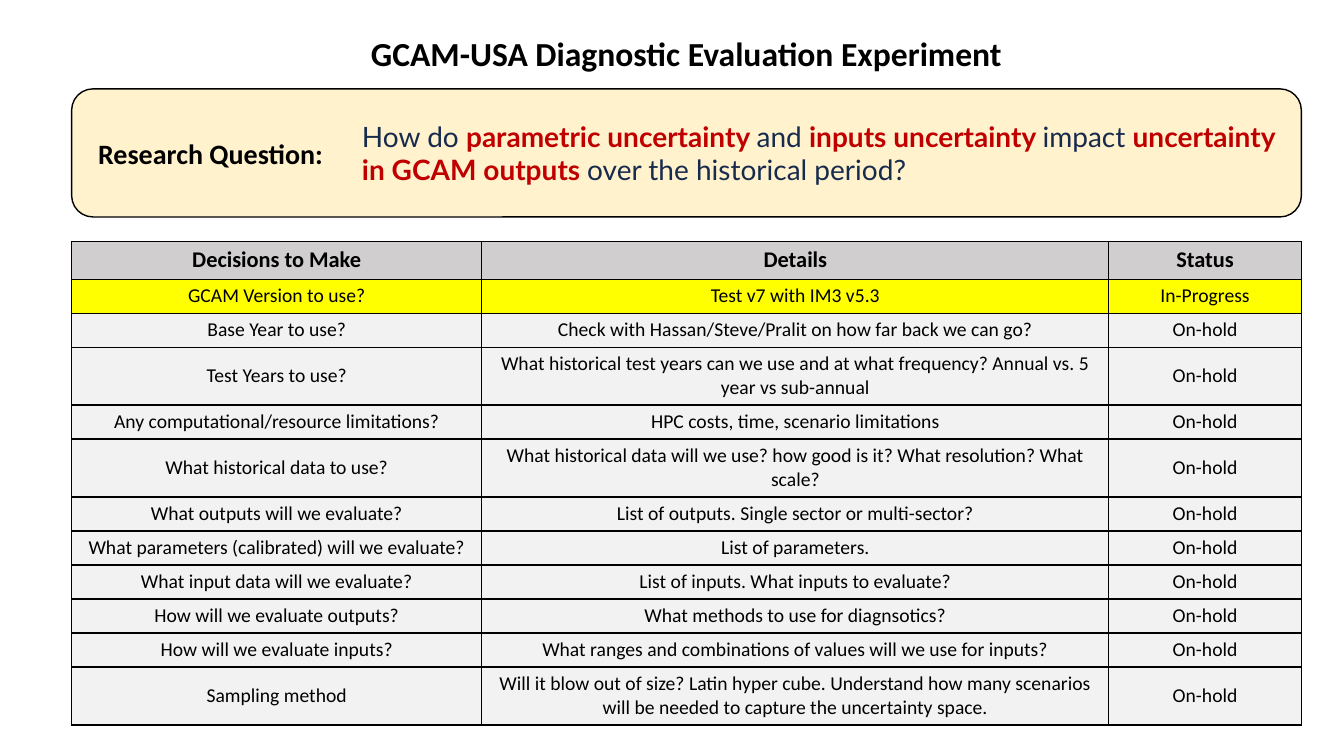
"""Build the diagnostic evaluation experiment slide."""
from lxml import etree
from pptx import Presentation
from pptx import util as u
from pptx.dml import color
from pptx.enum import shapes, text
from pptx.oxml import ns

COLORS = {
    "ink": "000000", "navy": "172B4D", "red": "C00000", "cream": "FFF2CC",
    "header": "D0CECE", "active": "FFFF00", "row": "F2F2F2",
}
CENTER = text.PP_ALIGN.CENTER
LEFT = text.PP_ALIGN.LEFT
MIDDLE = text.MSO_ANCHOR.MIDDLE
TOP = text.MSO_ANCHOR.TOP


def rgb(name):
    return color.RGBColor.from_string(COLORS[name])


class Deck:
    """Hold the style and the current slide."""

    def __init__(self, width, height):
        self.prs = Presentation()
        self.prs.slide_width, self.prs.slide_height = u.Pt(width), u.Pt(height)
        self.s = self.prs.slides.add_slide(self.prs.slide_layouts[6])
        self.line = 1

    def add_runs(self, tf, runs, size, align, font="Calibri"):
        p = tf.paragraphs[0]
        p.alignment = align
        for words, name, bold in runs:
            r = p.add_run()
            r.text = words
            for key, value in {"name": font, "size": u.Pt(size), "bold": bold}.items():
                setattr(r.font, key, value)
            r.font.color.rgb = rgb(name)

    def box(self, parent, left, top, width, height, fill=None):
        sp = parent.add_shape(shapes.MSO_SHAPE.ROUNDED_RECTANGLE,
                              *map(u.Pt, (left, top, width, height)))
        sp.shadow.inherit = False
        if fill:
            sp.fill.solid()
            sp.fill.fore_color.rgb = rgb(fill)
            sp.line.color.rgb = rgb("ink")
            sp.line.width = u.Pt(self.line)
        else:
            sp.fill.background()
            sp.line.fill.background()
        return sp

    def label(self, parent, left, top, width, height, runs, size, align=CENTER, font="Calibri"):
        tf = self.box(parent, left, top, width, height).text_frame
        for key, value in {"word_wrap": True, "vertical_anchor": MIDDLE}.items():
            setattr(tf, key, value)
        self.add_runs(tf, runs, size, align, font)

    def borders(self, cell):
        tc_pr = cell._tc.get_or_add_tcPr()
        for i, side in enumerate(("lnL", "lnR", "lnT", "lnB")):
            ln = etree.Element(ns.qn(f"a:{side}"), w=str(u.Pt(self.line)))
            fill = etree.SubElement(ln, ns.qn("a:solidFill"))
            etree.SubElement(fill, ns.qn("a:srgbClr"), val=COLORS["ink"])
            tc_pr.insert(i, ln)

    def cell(self, cell, words, fill, size, bold, anchor):
        cell.fill.solid()
        cell.fill.fore_color.rgb = rgb(fill)
        cell.vertical_anchor = anchor
        self.borders(cell)
        self.add_runs(cell.text_frame, [(words, "ink", bold)], size, CENTER)

    def table(self, left, top, widths, heights, rows):
        frame = self.s.shapes.add_table(len(rows), len(widths), u.Pt(left), u.Pt(top),
                                        u.Pt(sum(widths)), u.Pt(sum(heights)))
        tbl = frame.table
        tbl.first_row = tbl.horz_banding = False
        for column, width in zip(tbl.columns, widths):
            column.width = u.Pt(width)
        styles = [("header", 16, True, TOP), ("active", 14, False, MIDDLE)]
        styles += [("row", 14, False, MIDDLE)] * (len(rows) - len(styles))
        for i, (row, height, style) in enumerate(zip(rows, heights, styles)):
            tbl.rows[i].height = u.Pt(height)
            for j, words in enumerate(row):
                self.cell(tbl.cell(i, j), words, *style)


HOLD = "On-hold"
DECISIONS = [
    ("Decisions to Make", "Details", "Status"),
    ("GCAM Version to use?", "Test v7 with IM3 v5.3", "In-Progress"),
    ("Base Year to use?", "Check with Hassan/Steve/Pralit on how far back we can go?", HOLD),
    ("Test Years to use?", "What historical test years can we use and at what frequency? "
     "Annual vs. 5 year vs sub-annual", HOLD),
    ("Any computational/resource limitations?", "HPC costs, time, scenario limitations", HOLD),
    ("What historical data to use?", "What historical data will we use? how good is it? "
     "What resolution? What scale?", HOLD),
    ("What outputs will we evaluate?", "List of outputs. Single sector or multi-sector?", HOLD),
    ("What parameters (calibrated) will we evaluate?", "List of parameters.", HOLD),
    ("What input data will we evaluate?", "List of inputs. What inputs to evaluate?", HOLD),
    ("How will we evaluate outputs?", "What methods to use for diagnsotics?", HOLD),
    ("How will we evaluate inputs?",
     "What ranges and combinations of values will we use for inputs?", HOLD),
    ("Sampling method", "Will it blow out of size? Latin hyper cube. Understand how many "
     "scenarios will be needed to capture the uncertainty space.", HOLD),
]
QUESTION = [
    ("How do ", "navy", False), ("parametric uncertainty ", "red", True),
    ("and ", "navy", False), ("inputs uncertainty ", "red", True),
    ("impact ", "navy", False), ("uncertainty in GCAM outputs ", "red", True),
    ("over the historical period?", "navy", False),
]
SINGLE, DOUBLE = 24.3, 41.4
HEIGHTS = [26.9] + [DOUBLE if len(row[1]) > 70 else SINGLE for row in DECISIONS[1:]]

deck = Deck(960, 540)
banner = deck.s.shapes.add_group_shape().shapes
deck.box(banner, 51.2, 63.5, 878.4, 91.5, "cream")
deck.label(banner, 58.3, 63.5, 188.7, 91.5, [("Research Question: ", "ink", True)], 20)
deck.label(banner, 247, 63.5, 682.6, 91.5, QUESTION, 20, LEFT, "Lato")
deck.label(deck.s.shapes, 218.9, 11.5, 542.9, 52.5,
           [("GCAM-USA Diagnostic Evaluation Experiment", "ink", True)], 24)
deck.table(51.2, 172.5, [293, 447.9, 137.5], HEIGHTS, DECISIONS)
deck.prs.save("out.pptx")
